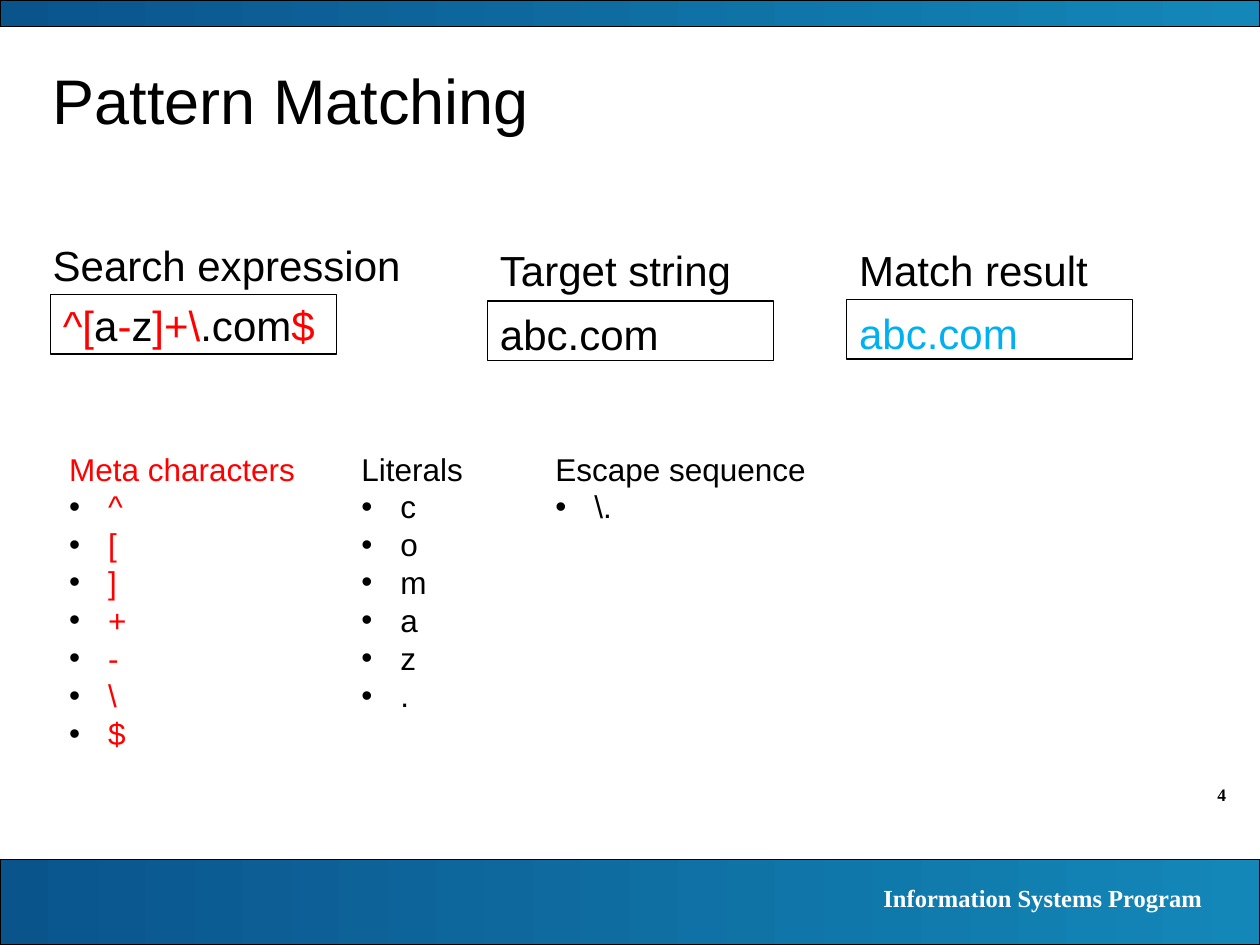
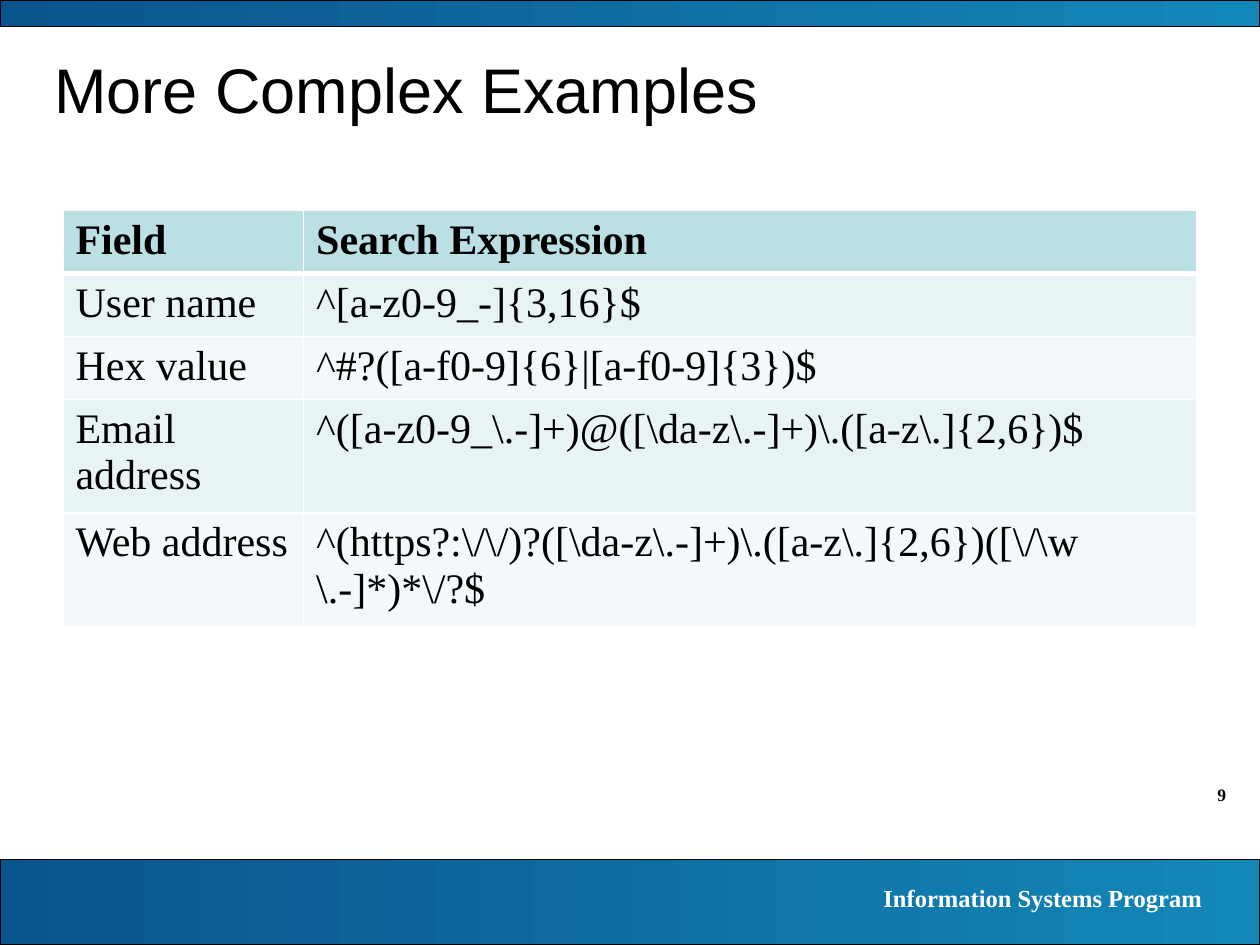
from pptx import Presentation
from pptx.dml.color import RGBColor
from pptx.enum.shapes import MSO_SHAPE
from pptx.enum.text import MSO_ANCHOR, MSO_AUTO_SIZE, PP_ALIGN
from pptx.oxml.ns import qn
from pptx.util import Inches, Pt
from lxml.etree import SubElement

COLORS = {
    "ink": "000000", "white": "FFFFFF", "meta": "FF0000", "match": "00B0F0",
    "band_left": "0A548C", "band_right": "1387B8",
    "header": "BBE0E3", "odd_row": "E7F3F4", "even_row": "F3F9FA",
}
SANS, SERIF = "Arial", "Times New Roman"
FOOTER = "Information Systems Program"

# Each example: label, label place (left, top, width), frame place (left, top),
# text place (top, width), and the spans of the text with their colours.
EXAMPLES = [
    ("Search expression", (0.32, 1.85, 2.97), (0.4, 2.34), (2.33, 2.27),
     [("^[", "meta"), ("a", "ink"), ("-", "meta"), ("z", "ink"),
      ("]+\\", "meta"), (".com", "ink"), ("$", "meta")]),
    ("Target string", (3.87, 1.89, 2.63), (3.87, 2.39), (2.4, 1.66),
     [("abc.com", "ink")]),
    ("Match result", (6.72, 1.89, 2.63), (6.72, 2.38), (2.39, 1.66),
     [("abc.com", "match")]),
]
# Each list: heading, items, colour, left, width.
CHARACTER_LISTS = [
    ("Meta characters", ["^", "[", "]", "+", "-", "\\", "$"], "meta", 0.45, 1.99),
    ("Literals", ["c", "o", "m", "a", "z", "."], "ink", 2.77, 1.09),
    ("Escape sequence", ["\\."], "ink", 4.31, 2.19),
]
FIELDS = [
    ("Field", "Search Expression"),
    ("User name", r"^[a-z0-9_-]{3,16}$"),
    ("Hex value", r"^#?([a-f0-9]{6}|[a-f0-9]{3})$"),
    ("Email address", r"^([a-z0-9_\.-]+)@([\da-z\.-]+)\.([a-z\.]{2,6})$"),
    ("Web address", r"^(https?:\/\/)?([\da-z\.-]+)\.([a-z\.]{2,6})([\/\w \.-]*)*\/?$"),
]
COLUMN_WIDTHS = (1.91, 7.09)
ROW_HEIGHT = 0.41


def rgb(name):
    return RGBColor.from_string(COLORS[name])


def add_span(para, text, size, color="ink", font=SANS, bold=False):
    span = para.add_run()
    span.text = text
    span.font.name, span.font.size, span.font.bold = font, Pt(size), bold
    span.font.color.rgb = rgb(color)


def add_box(page, left, top, width, height):
    """Add an empty text box and return its text frame."""
    frame = page.shapes.add_textbox(*map(Inches, (left, top, width, height))).text_frame
    frame.word_wrap = True
    return frame


def add_rectangle(page, left, top, width, height):
    """Add an unfilled rectangle with a thin dark outline."""
    shape = page.shapes.add_shape(
        MSO_SHAPE.RECTANGLE, *map(Inches, (left, top, width, height)))
    shape.shadow.inherit = False
    shape.fill.background()
    shape.line.color.rgb = rgb("ink")
    shape.line.width = Pt(0.75)
    return shape


def add_band(page, top, height):
    fill = add_rectangle(page, 0, top, 10, height).fill
    fill.gradient()
    fill.gradient_angle = 0
    for stop, color, position in zip(
            fill.gradient_stops, ("band_left", "band_right"), (0, 1)):
        stop.color.rgb = rgb(color)
        stop.position = position


def add_right_label(page, place, text, size, color):
    para = add_box(page, *place).paragraphs[0]
    para.alignment = PP_ALIGN.RIGHT
    add_span(para, text, size, color, SERIF, True)


def add_page(deck, title, title_place, number):
    """Add a slide with the shared bands, footer, number and title."""
    page = deck.slides.add_slide(deck.slide_layouts[5])
    add_right_label(page, (9, 6.17, 0.83, 0.27), number, 10, "ink")
    add_band(page, 6.82, 0.68)
    add_band(page, 0, 0.21)
    add_right_label(page, (5.55, 6.96, 4.09, 0.34), FOOTER, 14, "white")
    holder = page.shapes.title
    holder.left, holder.top, holder.width, holder.height = map(Inches, title_place)
    frame = holder.text_frame
    frame.auto_size = MSO_AUTO_SIZE.NONE
    frame.vertical_anchor = MSO_ANCHOR.MIDDLE
    para = frame.paragraphs[0]
    para.alignment = PP_ALIGN.LEFT
    add_span(para, title, 36)
    return page


def add_bullet(para):
    props = para._p.get_or_add_pPr()
    props.set("marL", str(Inches(0.31)))
    props.set("indent", str(-Inches(0.31)))
    color = SubElement(props, qn("a:buClr"))
    SubElement(color, qn("a:srgbClr"), val=COLORS["ink"])
    SubElement(props, qn("a:buFont"), typeface=SANS)
    SubElement(props, qn("a:buChar"), char="•")


def add_example(page, label, label_place, frame_place, text_place, spans):
    add_span(add_box(page, *label_place, 0.5).paragraphs[0], label, 24)
    add_rectangle(page, *frame_place, 2.27, 0.47)
    text_top, text_width = text_place
    para = add_box(page, frame_place[0], text_top, text_width, 0.5).paragraphs[0]
    for text, color in spans:
        add_span(para, text, 24, color)


def add_character_list(page, heading, items, color, left, width):
    frame = add_box(page, left, 3.52, width, 0.1 + 0.3 * (len(items) + 1))
    for index, text in enumerate([heading, *items]):
        para = frame.add_paragraph() if index else frame.paragraphs[0]
        para.line_spacing = Pt(21.6)
        if index:
            add_bullet(para)
        add_span(para, text, 18, color)


def set_borders(cell, bottom):
    props = cell._tc.get_or_add_tcPr()
    widths = {"a:lnL": 1, "a:lnR": 1, "a:lnT": 1, "a:lnB": bottom}
    for index, (tag, width) in enumerate(widths.items()):
        line = props.makeelement(qn(tag), {"w": str(Pt(width))})
        fill = SubElement(line, qn("a:solidFill"))
        SubElement(fill, qn("a:srgbClr"), val=COLORS["white"])
        props.insert(index, line)


def add_field_table(page):
    table = page.shapes.add_table(
        len(FIELDS), len(COLUMN_WIDTHS), Inches(0.5), Inches(1.67),
        Inches(sum(COLUMN_WIDTHS)), Inches(ROW_HEIGHT * len(FIELDS))).table
    for column, width in zip(table.columns, COLUMN_WIDTHS):
        column.width = Inches(width)
    for row_index, texts in enumerate(FIELDS):
        is_header = row_index == 0
        color = "header" if is_header else ("even_row", "odd_row")[row_index % 2]
        for column_index, text in enumerate(texts):
            cell = table.cell(row_index, column_index)
            cell.fill.solid()
            cell.fill.fore_color.rgb = rgb(color)
            set_borders(cell, 3 if is_header else 1)
            add_span(cell.text_frame.paragraphs[0], text, 24, "ink", SERIF, is_header)


def main():
    deck = Presentation()
    deck.slide_width, deck.slide_height = Inches(10), Inches(7.5)

    page = add_page(deck, "Pattern Matching", (0.32, 0.41, 8.95, 0.75), "4")
    for example in EXAMPLES:
        add_example(page, *example)
    for character_list in CHARACTER_LISTS:
        add_character_list(page, *character_list)

    page = add_page(deck, "More Complex Examples", (0.33, 0.33, 9.17, 0.75), "9")
    add_field_table(page)

    deck.save("out.pptx")


if __name__ == "__main__":
    main()
